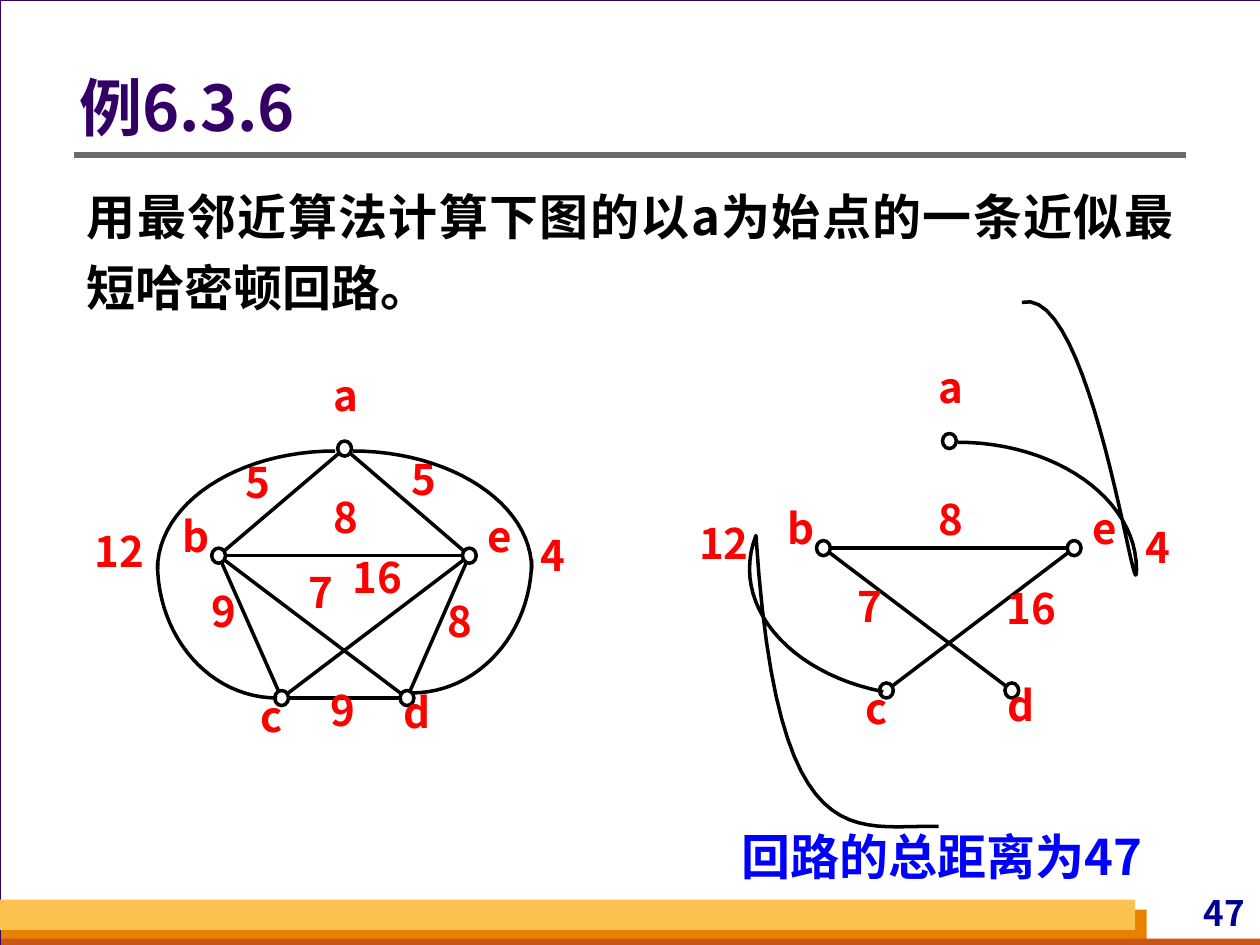
from dataclasses import dataclass
from math import hypot

from lxml.etree import SubElement
from pptx import Presentation
from pptx.dml.color import RGBColor
from pptx.enum.shapes import MSO_CONNECTOR as Connector, MSO_SHAPE as Preset
from pptx.enum.text import MSO_ANCHOR as Anchor, PP_ALIGN as Align
from pptx.oxml.ns import qn
from pptx.util import Inches, Pt

COLUMNS, ROWS = 100, 75
CELL = Inches(0.1)
FONT = "Noto Sans CJK SC"
NODE_WIDTH, NODE_HEIGHT, NODE_GAP = 1.1, 1.2, 0.6
CURVE_STEPS = 24
COLORS = {
    "backdrop": "D8DADA", "paper": "FFFFFF", "purple": "330066",
    "orange": "E88000", "rust": "C95616", "gold": "FCC24F", "rule": "6B6B6B",
    "number": "000099", "ink": "000000", "label": "FF0000", "answer": "0000FF",
}

Point = tuple[float, float]


@dataclass(frozen=True)
class Label:
    text: str
    left: float
    top: float


@dataclass(frozen=True)
class Graph:
    """A weighted graph, with all its places counted in cells from its origin."""
    origin: Point
    edges: tuple[str, ...]
    weights: tuple[Label, ...]
    curves: tuple[tuple[Point, ...], ...]


@dataclass(frozen=True)
class Band:
    color: str
    box: tuple[float, float, float, float]
    outline: str = ""


# Node centres and names are shared by both graphs.
NODES: dict[str, Point] = {
    "a": (27.35, 35.6), "b": (17.35, 44.1), "c": (22.35, 55.4),
    "d": (32.3, 55.4), "e": (37.25, 44.1),
}
NAMES = (
    Label("a", 26.5, 29.3), Label("b", 14.5, 40.5), Label("c", 20.7, 54.8),
    Label("d", 32, 54.5), Label("e", 38.7, 40.5),
    Label("12", 7.5, 41.7), Label("4", 42.9, 42),
)
GRAPHS = (
    Graph(
        (48, -0.6), ("be", "ec", "bd"),
        (Label("8", 26.5, 39.8), Label("16", 31.9, 46.8), Label("7", 20.1, 46.7)),
        (
            ((28, 35.7), (35.8, 35.7), (42.2, 40.2), (42.2, 45.8),
             (42.2, 50), (38.6, 23.1), (33.1, 24.6)),
            ((22.1, 55.5), (14.5, 54), (9.9, 48.5), (12, 43.1),
             (13.7, 69.1), (19.8, 66), (26.5, 66.2)),
        ),
    ),
    Graph(
        (0, 0), ("cd", "ed", "ab", "ae", "bc", "be", "ec", "bd"),
        (Label("5", 32.7, 36), Label("5", 19.5, 36.2), Label("8", 26.5, 39),
         Label("8", 35.5, 47.3), Label("9", 16.8, 46.5), Label("9", 26.2, 54.3),
         Label("16", 28, 43.8), Label("7", 24.5, 45)),
        (
            ((26.6, 35.8), (18.8, 35.8), (12.5, 40), (12.5, 45.2)),
            ((28, 35.8), (35.8, 35.8), (42.2, 40), (42.2, 45.2)),
            ((32.7, 55), (37.9, 55), (42.2, 50.3), (42.2, 44.4)),
            ((22, 55.4), (16.7, 55.4), (12.5, 50.6), (12.5, 44.7)),
        ),
    ),
)
BANDS = (
    Band("paper", (0, 0, COLUMNS + 0.1, ROWS), "purple"),
    Band("orange", (0.1, 72.2, 90.9, 2.8)),
    Band("rust", (0.1, 74.5, COLUMNS, 0.8)),
    Band("gold", (0, 71.4, 90.1, 2.4)),
)


def cells(*counts: float) -> list[int]:
    return [round(count * CELL) for count in counts]


def rgb(name: str) -> RGBColor:
    return RGBColor.from_string(COLORS[name])


def set_line(shape, color: str, width: float) -> None:
    shape.line.color.rgb = rgb(color)
    shape.line.width = Pt(width)


def add_preset(page, preset, box, fill: str = "", outline: str = "",
               width: float = 0.75) -> None:
    shape = page.shapes.add_shape(preset, *cells(*box))
    shape.shadow.inherit = False
    if fill:
        shape.fill.solid()
        shape.fill.fore_color.rgb = rgb(fill)
    else:
        shape.fill.background()
    if outline:
        set_line(shape, outline, width)
    else:
        shape.line.fill.background()


def add_line(page, start: Point, end: Point, color: str = "ink", width: float = 2) -> None:
    line = page.shapes.add_connector(Connector.STRAIGHT, *cells(*start, *end))
    set_line(line, color, width)
    SubElement(line._element.spPr, qn("a:effectLst"))


def add_text(page, text: str, box, size: float, color: str, margins=(0, 0),
             anchor=Anchor.TOP, **layout) -> None:
    """Add one bold paragraph; margins are the side and the top ones, in inches."""
    frame = page.shapes.add_textbox(*cells(*box)).text_frame
    side, edge = map(Inches, margins)
    frame_format = {
        "margin_left": side, "margin_right": side, "margin_top": edge,
        "margin_bottom": edge, "word_wrap": True, "vertical_anchor": anchor,
    }
    for name, value in frame_format.items():
        setattr(frame, name, value)
    para = frame.paragraphs[0]
    for name, value in layout.items():
        setattr(para, name, value)
    span = para.add_run()
    span.text = text
    for name, value in {"size": Pt(size), "bold": True, "name": FONT}.items():
        setattr(span.font, name, value)
    span.font.color.rgb = rgb(color)
    SubElement(span._r.get_or_add_rPr(), qn("a:ea"), typeface=FONT)


def bezier(p0: Point, p1: Point, p2: Point, p3: Point) -> list[Point]:
    """Points along a cubic curve, without its start."""
    points = []
    for step in range(1, CURVE_STEPS + 1):
        t = step / CURVE_STEPS
        shares = ((1 - t) ** 3, 3 * t * (1 - t) ** 2, 3 * t ** 2 * (1 - t), t ** 3)
        points.append(tuple(sum(share * value for share, value in zip(shares, axis))
                            for axis in zip(p0, p1, p2, p3)))
    return points


def add_curve(page, controls: list[Point]) -> None:
    points = []
    for first in range(0, len(controls) - 1, 3):
        points += bezier(*controls[first:first + 4])
    builder = page.shapes.build_freeform(*cells(*controls[0]))
    builder.add_line_segments([cells(*point) for point in points], close=False)
    curve = builder.convert_to_shape()
    curve.shadow.inherit = False
    curve.fill.background()
    set_line(curve, "ink", 2)


def draw_graph(page, graph: Graph) -> None:
    def place(point: Point) -> Point:
        return point[0] + graph.origin[0], point[1] + graph.origin[1]

    for center in NODES.values():
        x, y = place(center)
        box = (x - NODE_WIDTH / 2, y - NODE_HEIGHT / 2, NODE_WIDTH, NODE_HEIGHT)
        add_preset(page, Preset.OVAL, box, outline="ink", width=2)
    for start, end in graph.edges:
        (x1, y1), (x2, y2) = place(NODES[start]), place(NODES[end])
        share = NODE_GAP / hypot(x2 - x1, y2 - y1)
        dx, dy = (x2 - x1) * share, (y2 - y1) * share
        add_line(page, (x1 + dx, y1 + dy), (x2 - dx, y2 - dy))
    for label in NAMES + graph.weights:
        box = (*place((label.left, label.top)), 4.7, 4)
        add_text(page, label.text, box, 24, "label", anchor=Anchor.MIDDLE)
    for curve in graph.curves:
        add_curve(page, [place(point) for point in curve])


def main() -> None:
    deck = Presentation()
    deck.slide_width, deck.slide_height = cells(COLUMNS, ROWS)
    page = deck.slides.add_slide(deck.slide_layouts[6])
    page.background.fill.solid()
    page.background.fill.fore_color.rgb = rgb("backdrop")

    for band in BANDS:
        add_preset(page, Preset.RECTANGLE, band.box, band.color, band.outline)
    add_text(page, "47", (87, 70.8, 12.2, 3.3), 20, "number", (0.04, 0),
             anchor=Anchor.MIDDLE, alignment=Align.RIGHT)
    add_line(page, (5.9, 12.3), (94.1, 12.3), "rule", 3)
    add_text(page, "例6.3.6", (5.9, 3.8, 88.2, 10.1), 36, "purple", (0.04, 0),
             anchor=Anchor.MIDDLE, line_spacing=0.9)
    add_text(page, "用最邻近算法计算下图的以a为始点的一条近似最短哈密顿回路。",
             (5.9, 13.4, 88.2, 12.2), 28, "ink", (0.1, 0.05),
             alignment=Align.JUSTIFY, line_spacing=1.2)
    for graph in GRAPHS:
        draw_graph(page, graph)
    add_text(page, "回路的总距离为47", (57.9, 65.1, 36, 5.7), 28, "answer", (0.1, 0.05))
    deck.save("out.pptx")


if __name__ == "__main__":
    main()
